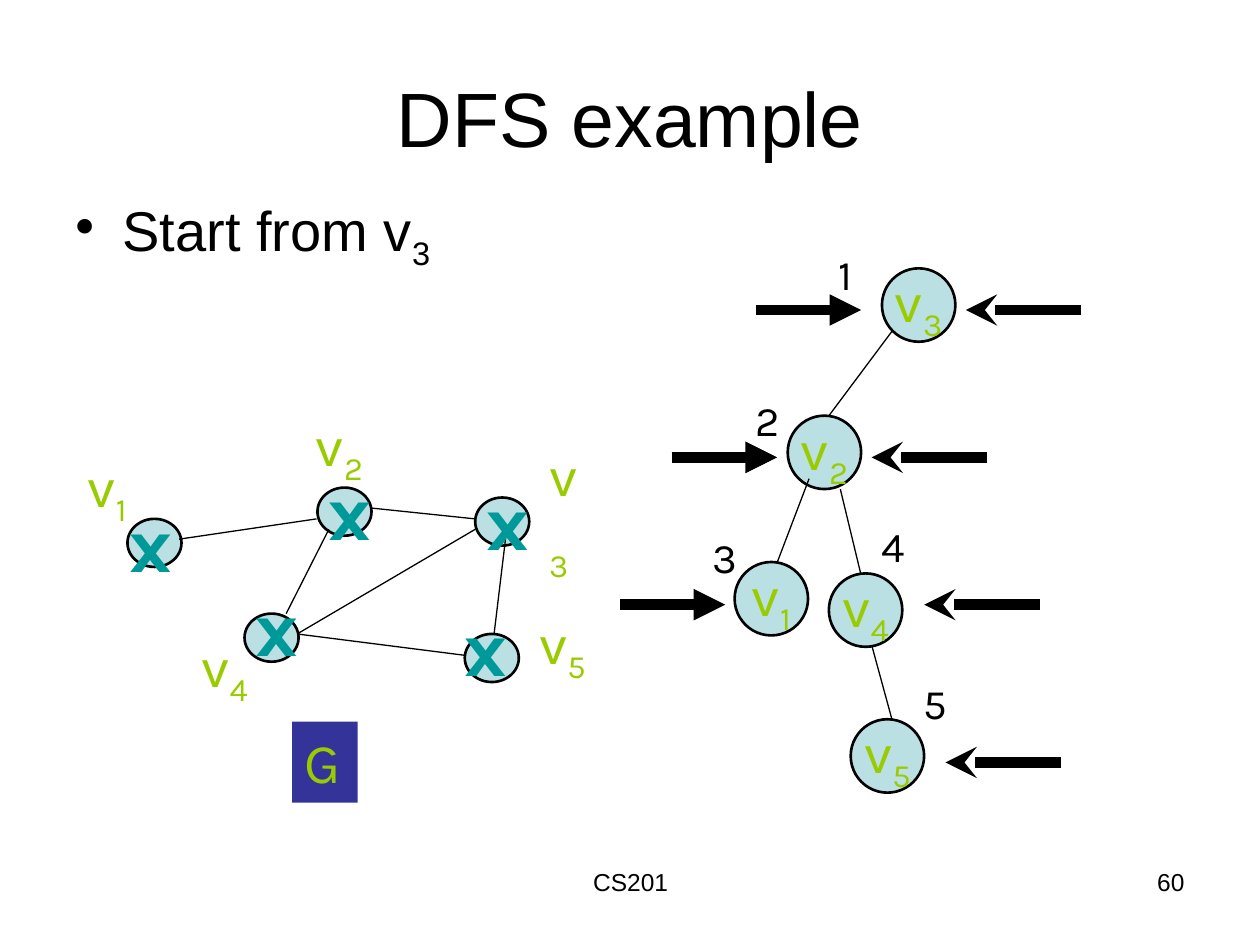
from pptx import Presentation
from pptx.dml.color import RGBColor
from pptx.enum.shapes import MSO_CONNECTOR, MSO_SHAPE
from pptx.enum.text import MSO_ANCHOR, MSO_AUTO_SIZE, PP_ALIGN
from pptx.oxml.ns import qn
from pptx.util import Cm, Pt
from lxml.etree import SubElement

BLACK = RGBColor(0x00, 0x00, 0x00)
PALE = RGBColor(0xBB, 0xE0, 0xE3)
LIME = RGBColor(0x99, 0xCC, 0x00)
TEAL = RGBColor(0x00, 0x99, 0x99)
NAVY = RGBColor(0x33, 0x33, 0x99)

deck = Presentation()
deck.slide_width, deck.slide_height = Cm(25.4), Cm(19.05)
slide = deck.slides.add_slide(deck.slide_layouts[6])
shapes = slide.shapes


def put(text, x, y, w, h, sub="", size=32, face="Karla", color=LIME, bold=False,
        align=PP_ALIGN.LEFT, anchor=MSO_ANCHOR.TOP, wrap=False, grow=True,
        kind=None, fill=None, edge=None, bullet=False):
    box = Cm(x), Cm(y), Cm(w), Cm(h)
    if kind is None:
        shape = shapes.add_textbox(*box)
    else:
        shape = shapes.add_shape(kind, *box)
        shape.shadow.inherit = False
        shape.fill.solid()
        shape.fill.fore_color.rgb = fill
        if edge is None:
            shape.line.fill.background()
        else:
            shape.line.color.rgb = edge
            shape.line.width = Pt(1.5)
    frame = shape.text_frame
    frame.word_wrap = wrap
    frame.vertical_anchor = anchor
    frame.auto_size = MSO_AUTO_SIZE.SHAPE_TO_FIT_TEXT if grow else MSO_AUTO_SIZE.NONE
    para = frame.paragraphs[0]
    para.alignment = align
    if bullet:
        props = para._p.get_or_add_pPr()
        props.set("marL", str(Cm(0.95)))
        props.set("indent", str(-Cm(0.95)))
        SubElement(props, qn("a:buChar")).set("char", "•")
    for part in filter(None, (text, sub)):
        run = para.add_run()
        run.text = part
        run.font.size = Pt(size)
        run.font.name = face
        run.font.bold = bold
        run.font.color.rgb = color
        if part is sub:
            run._r.get_or_add_rPr().set("baseline", "-25000")


def link(x1, y1, x2, y2, width=0.75, head=None):
    line = shapes.add_connector(MSO_CONNECTOR.STRAIGHT, Cm(x1), Cm(y1), Cm(x2), Cm(y2))
    line.line.color.rgb = BLACK
    line.line.width = Pt(width)
    if head:
        SubElement(line.line._get_or_add_ln(), qn("a:tailEnd")).set("type", head)
    SubElement(line._element.spPr, qn("a:effectLst"))


plain = dict(face="Arial", color=BLACK, wrap=True, grow=False)
put("CS201", 8.69, 17.35, 8.05, 1.32, size=14, align=PP_ALIGN.CENTER, **plain)
put("60", 18.21, 17.35, 5.92, 1.32, size=14, align=PP_ALIGN.RIGHT, **plain)
put("DFS example", 1.27, 0.76, 22.86, 3.18, size=44, align=PP_ALIGN.CENTER,
    anchor=MSO_ANCHOR.MIDDLE, **plain)
put("Start from v", 1.27, 3.81, 22.86, 2.44, sub="3", bullet=True, **plain)

disc = dict(kind=MSO_SHAPE.OVAL, fill=PALE, edge=BLACK, grow=False,
            align=PP_ALIGN.CENTER, anchor=MSO_ANCHOR.MIDDLE)

graph = [
    ("1", (2.57, 10.46), (1.52, 8.97), (2.36, 9.86)),
    ("2", (6.4, 9.83), (6.12, 8.15), (6.38, 9.22)),
    ("3", (9.58, 10.03), (10.82, 8.76), (9.55, 9.42)),
    ("4", (4.93, 12.37), (3.81, 12.6), (4.9, 11.56)),
    ("5", (9.37, 12.78), (10.62, 12.14), (9.12, 11.96)),
]
for num, node, name, mark in graph:
    put("", *node, 1.09, 0.97, **disc)
for ends in [
    (9.58, 10.46, 7.47, 10.24),
    (9.37, 13.21, 5.99, 12.78),
    (9.58, 10.67, 5.99, 12.78),
    (6.63, 10.67, 5.77, 12.37),
    (3.61, 10.87, 6.38, 10.46),
    (9.96, 12.78, 10.19, 10.87),
]:
    link(*ends)
for num, node, name, mark in graph:
    split = num == "3"
    put("v", *name, 1.3 if split else 1.45, 1.8, sub=num, wrap=split, grow=not split)
    put("x", *mark, 1.4, 2.13, size=44, color=TEAL, bold=True)
put("G", 5.89, 14.55, 1.32, 1.63, kind=MSO_SHAPE.RECTANGLE, fill=NAVY)

tree = [
    ("3", (17.78, 5.41), (16.66, 4.88)),
    ("2", (15.88, 8.38), (14.99, 7.82)),
    ("1", (14.81, 11.33), (14.12, 10.59)),
    ("4", (16.71, 11.56), (17.53, 10.36)),
    ("5", (17.15, 14.5), (18.36, 13.54)),
]
for step, (num, node, spot) in enumerate(tree, 1):
    put("v", *node, 1.48, 1.48, sub=num, **disc)
    put(str(step), *spot, 0.99, 1.27, size=24, color=BLACK)
for ends in [
    (16.71, 8.38, 17.98, 6.68),
    (15.67, 11.33, 16.31, 9.65),
    (16.94, 9.86, 17.35, 11.56),
    (17.98, 14.5, 17.58, 13.03),
]:
    link(*ends)

for x, y, span, head in [
    (15.24, 6.25, 2.12, "triangle"),
    (13.54, 9.22, 2.12, "triangle"),
    (12.5, 12.19, 2.12, "triangle"),
    (13.54, 9.22, 2.12, "stealth"),
    (21.39, 15.37, -2.33, "stealth"),
    (20.96, 12.19, -2.33, "stealth"),
    (19.9, 9.22, -2.33, "stealth"),
    (21.8, 6.25, -2.33, "stealth"),
]:
    link(x, y, x + span, y, width=6, head=head)

deck.save("out.pptx")
